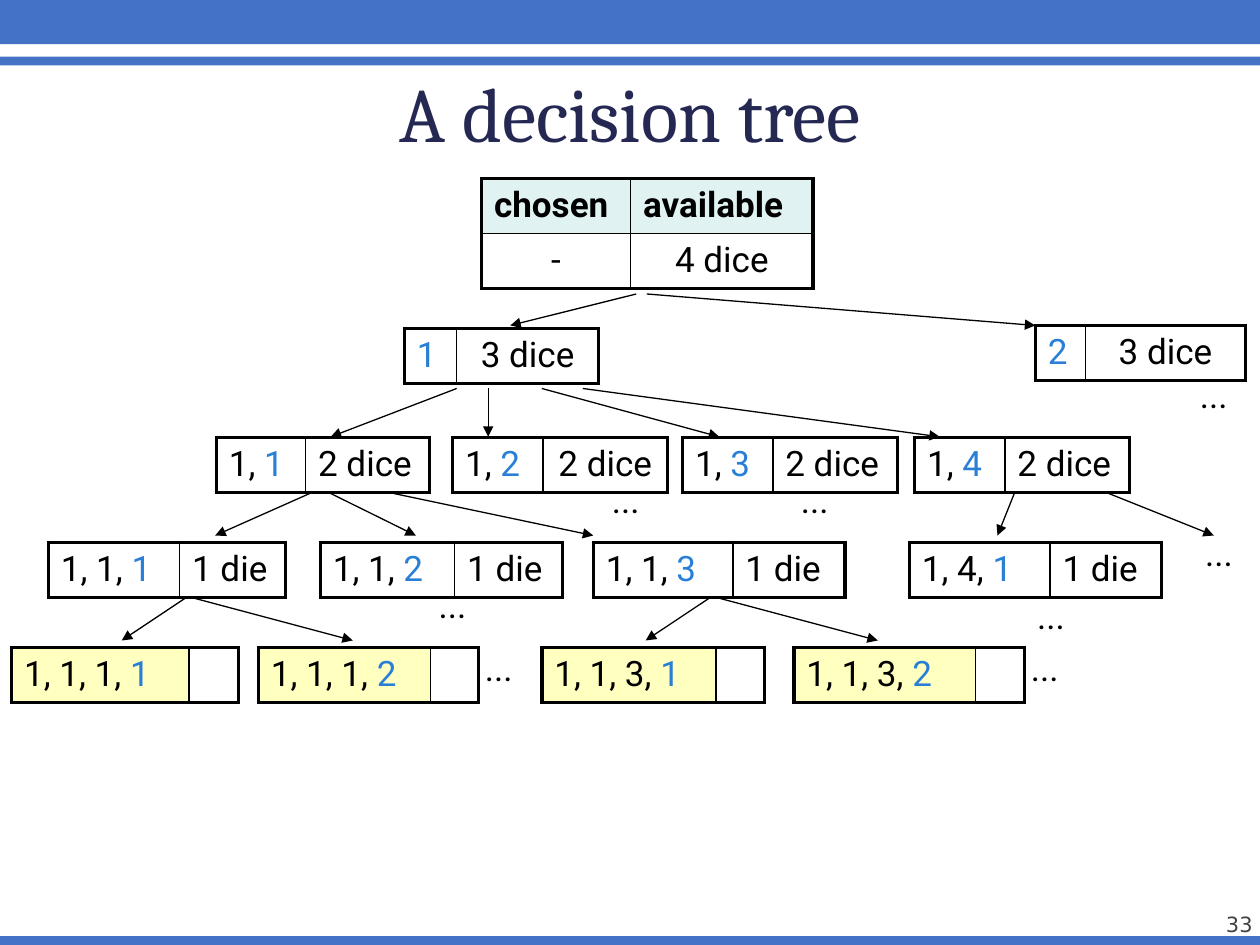
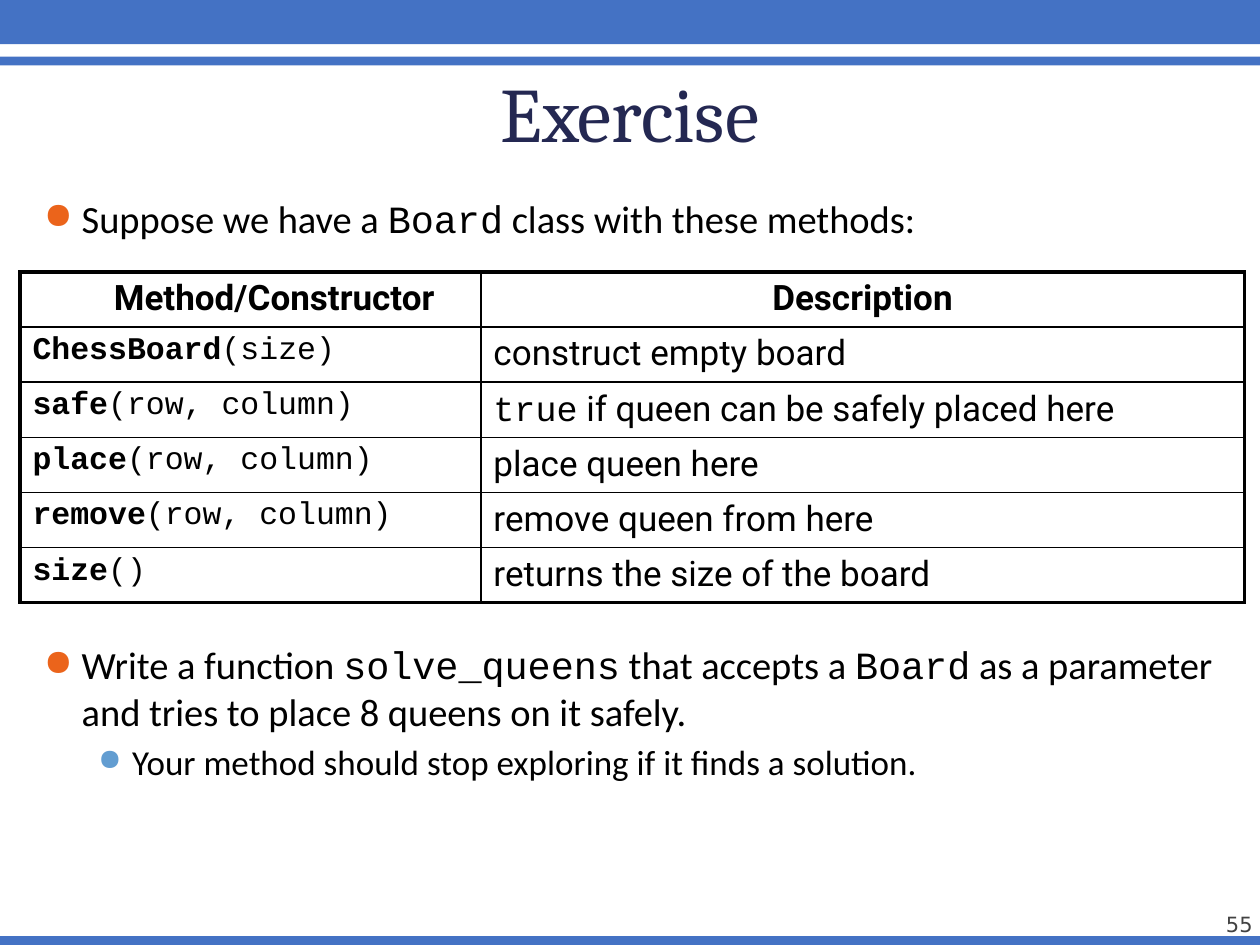
from lxml.etree import SubElement
from pptx import Presentation
from pptx.dml.color import RGBColor
from pptx.enum.shapes import MSO_CONNECTOR as Connector, MSO_SHAPE as Preset
from pptx.enum.text import MSO_ANCHOR as Anchor, MSO_AUTO_SIZE as AutoSize, PP_ALIGN as Align
from pptx.oxml.ns import qn
from pptx.util import Inches, Pt

COLUMNS, ROWS = 120, 90
WIDTH, HEIGHT = Inches(10), Inches(7.5)

BLACK = RGBColor(0x00, 0x00, 0x00)
BAND = RGBColor(0x44, 0x72, 0xC4)
NAVY = RGBColor(0x24, 0x28, 0x52)
GRAY = RGBColor(0x42, 0x42, 0x42)
PICK = RGBColor(0x29, 0x7F, 0xD5)
HEADER = RGBColor(0xE1, 0xF2, 0xF3)
LEAF = RGBColor(0xFF, 0xFF, 0xC0)
ORANGE = RGBColor(0xEB, 0x64, 0x1B)
SKY = RGBColor(0x62, 0x9D, 0xD1)

TITLE_FONT, BODY_FONT, CELL_FONT = "Cambria", "Calibri", "Roboto"
CODE_FONT, NUMBER_FONT = "Courier New", "DejaVu Sans"
OUTER, INNER = Pt(2.25), Pt(1)
ROW = 5.25
BULLETS = [(Inches(0.3), Inches(-0.3), ORANGE, 95, 22), (Inches(0.7), Inches(-0.27), SKY, 85, 20)]


def across(columns):
    return round(WIDTH * columns / COLUMNS)


def down(rows):
    return round(HEIGHT * rows / ROWS)


def set_font(font, name=None, size=None, color=None, bold=None):
    if name:
        font.name = name
    if size:
        font.size = Pt(size)
    if color is not None:
        font.color.rgb = color
    if bold is not None:
        font.bold = bold


def write(paragraph, content, align=Align.LEFT, **style):
    paragraph.alignment = align
    set_font(paragraph.font, **style)
    pieces = [(content, {})] if isinstance(content, str) else content
    for text, changes in pieces:
        run = paragraph.add_run()
        run.text = text
        set_font(run.font, **changes)


def code(text, **changes):
    return text, dict(name=CODE_FONT, **changes)


def plain(text):
    return text, {}


class Deck:
    def __init__(self):
        self.presentation = Presentation()
        self.presentation.slide_width, self.presentation.slide_height = WIDTH, HEIGHT
        self.slide = None

    def new_slide(self, title, number):
        self.slide = self.presentation.slides.add_slide(self.presentation.slide_layouts[5])
        for left, top, height in [(0, -0.35, 4.55), (-0.2, 5.4, 0.84), (-0.2, 89.15, 0.85)]:
            self.band(left, top, height)
        shape = self.slide.shapes.title
        shape.left, shape.top, shape.width, shape.height = across(6), down(5.8), across(108), down(9.2)
        frame = shape.text_frame
        frame.auto_size, frame.vertical_anchor = AutoSize.NONE, Anchor.BOTTOM
        frame.margin_left = frame.margin_right = frame.margin_bottom = 0
        frame.margin_top = Inches(0.05)
        write(frame.paragraphs[0], title, Align.CENTER, name=TITLE_FONT, size=44, color=NAVY)
        frame = self.text_box(109.3, 84.4, 10, 4.8)
        frame.vertical_anchor = Anchor.BOTTOM
        frame.margin_left = frame.margin_right = frame.margin_top = frame.margin_bottom = 0
        write(frame.paragraphs[0], str(number), Align.RIGHT, name=NUMBER_FONT, size=12, color=GRAY)

    def band(self, left, top, height):
        shape = self.slide.shapes.add_shape(
            Preset.RECTANGLE, across(left), down(top), across(COLUMNS + 0.2), down(height))
        shape.shadow.inherit = False
        shape.fill.solid()
        shape.fill.fore_color.rgb = BAND
        shape.line.fill.background()

    def text_box(self, left, top, width, height):
        shape = self.slide.shapes.add_textbox(across(left), down(top), across(width), down(height))
        shape.text_frame.word_wrap = True
        return shape.text_frame

    def bullets(self, top, height, items):
        frame = self.text_box(3, top, 117, height)
        for index, (level, content) in enumerate(items):
            paragraph = frame.add_paragraph() if index else frame.paragraphs[0]
            margin, indent, color, percent, size = BULLETS[level]
            paragraph.level = level
            if index:
                paragraph.space_before = Pt(size * 0.2)
            properties = paragraph._p.get_or_add_pPr()
            properties.set("marL", str(margin))
            properties.set("indent", str(indent))
            SubElement(SubElement(properties, qn("a:buClr")), qn("a:srgbClr"), val=str(color))
            SubElement(properties, qn("a:buSzPct"), val=str(percent * 1000))
            SubElement(properties, qn("a:buChar"), char="●")
            write(paragraph, content, name=BODY_FONT, size=size, color=BLACK)

    def ellipsis(self, left, top):
        frame = self.text_box(left, top, 5.4, 5.2)
        frame.word_wrap = False
        frame.auto_size = AutoSize.SHAPE_TO_FIT_TEXT
        write(frame.paragraphs[0], "...", name=CELL_FONT, size=20, color=BLACK)

    def arrow(self, start, end):
        connector = self.slide.shapes.add_connector(
            Connector.STRAIGHT, across(start[0]), down(start[1]), across(end[0]), down(end[1]))
        connector.line.color.rgb = BLACK
        connector.line.width = Pt(0.75)
        SubElement(connector.line._get_or_add_ln(), qn("a:tailEnd"), type="triangle")
        SubElement(connector._element.spPr, qn("a:effectLst"))

    def table(self, left, top, widths, rows):
        frame = self.slide.shapes.add_table(
            len(rows), len(widths), across(left), down(top), across(sum(widths)), down(ROW * len(rows)))
        table = frame.table
        table.first_row = table.horz_banding = False
        for column, width in zip(table.columns, widths):
            column.width = across(width)
        for row_index, row in enumerate(rows):
            for column_index, (content, options) in enumerate(row):
                cell = table.cell(row_index, column_index)
                self.borders(cell, {
                    "a:lnL": column_index == 0, "a:lnR": column_index == len(widths) - 1,
                    "a:lnT": row_index == 0, "a:lnB": row_index == len(rows) - 1})
                self.fill_cell(cell, content, **options)
        return table

    def borders(self, cell, sides):
        properties = cell._tc.get_or_add_tcPr()
        for side, outer in sides.items():
            line = SubElement(properties, qn(side), w=str(OUTER if outer else INNER))
            SubElement(SubElement(line, qn("a:solidFill")), qn("a:srgbClr"), val=str(BLACK))

    def fill_cell(self, cell, content, fill=None, **style):
        if fill is None:
            cell.fill.background()
        else:
            cell.fill.solid()
            cell.fill.fore_color.rgb = fill
        if content:
            defaults = dict(name=CELL_FONT, size=20, color=BLACK, bold=False)
            write(cell.text_frame.paragraphs[0], content, **{**defaults, **style})

    def node(self, left, top, widths, chosen, available, align=Align.LEFT):
        pieces = [plain(chosen[:-1])] if chosen[:-1] else []
        pieces.append((chosen[-1], dict(color=PICK)))
        fill = None if available else LEAF
        self.table(left, top, widths, [[(pieces, dict(fill=fill)), (available, dict(align=align))]])


def decision_tree(deck):
    deck.new_slide("A decision tree", 33)
    header, centered = dict(fill=HEADER, bold=True), dict(align=Align.CENTER)
    deck.table(45.85, 17, (14.2, 17.4), [
        [("chosen", header), ("available", header)],
        [("-", centered), ("4 dice", centered)]])

    deck.node(38.5, 31.3, (5, 13.5), "1", "3 dice", Align.CENTER)
    deck.node(98.6, 31, (4.8, 15.2), "2", "3 dice", Align.CENTER)
    levels = [
        (41.65, "2 dice", [
            (20.6, 8.5, 11.8, "1, 1"), (43.1, 8.6, 11.9, "1, 2"),
            (65, 8.6, 11.9, "1, 3"), (87.1, 8.6, 11.9, "1, 4")]),
        (51.65, "1 die", [
            (4.6, 12.5, 10.1, "1, 1, 1"), (30.5, 12.8, 10.3, "1, 1, 2"),
            (56.5, 13.3, 10.7, "1, 1, 3"), (86.6, 13.4, 10.6, "1, 4, 1")]),
        (61.65, "", [
            (1.1, 16.9, 4.7, "1, 1, 1, 1"), (24.6, 16.4, 4.6, "1, 1, 1, 2"),
            (51.6, 16.6, 4.6, "1, 1, 3, 1"), (75.6, 17.3, 4.7, "1, 1, 3, 2")])]
    for top, available, nodes in levels:
        for left, chosen_width, available_width, chosen in nodes:
            align = Align.CENTER if chosen == "1, 2" else Align.LEFT
            deck.node(left, top, (chosen_width, available_width), chosen, available, align)

    branches = [
        (28, 31, [(60.6, 48.6), (61.6, 98.6)]),
        (37, 41.6, [(43.5, 31.5), (46.5, 46.5), (51.6, 68.5), (55.5, 89.5)]),
        (47, 51, [(29.5, 20.5), (31.5, 39.6), (37.5, 56.5), (96.6, 95), (105.6, 115.6)]),
        (57, 61, [(17.6, 11.6), (18.6, 33.6), (67.5, 61.5), (68.6, 83.6)])]
    for top, bottom, pairs in branches:
        for start, end in pairs:
            deck.arrow((start, top), (end, bottom))

    for left, top in [(113.6, 50), (75.1, 45), (57.1, 45), (113.1, 35),
                      (40.6, 55), (97.6, 56), (45, 61), (97, 61)]:
        deck.ellipsis(left, top)


def exercise(deck):
    deck.new_slide("Exercise", 55)
    deck.bullets(18, 6, [
        (0, [plain("Suppose we have a "), code("Board"), plain(" class with these methods:")])])
    methods = [
        ("ChessBoard", "(size)", "construct empty board"),
        ("safe", "(row, column)", [code("true"), plain(" if queen can be safely placed here")]),
        ("place", "(row, column)", "place queen here"),
        ("remove", "(row, column)", "remove queen from here"),
        ("size", "()", "returns the size of the board")]
    heading = dict(bold=True, align=Align.CENTER)
    rows = [[("Method/Constructor", heading), ("Description", heading)]]
    for name, parameters, description in methods:
        signature = [(name, dict(bold=True)), plain(parameters)]
        rows.append([(signature, dict(name=CODE_FONT, size=18)), (description, {})])
    table = deck.table(1.9, 25.9, (43.9, 72.7), rows)
    table.cell(0, 0).margin_left = across(5.75)
    deck.bullets(60.5, 20, [
        (0, [plain("Write a function "), code("solve_queens"), plain(" that accepts a "), code("Board"),
             plain(" as a parameter and tries to place 8 queens on it safely.")]),
        (1, "Your method should stop exploring if it finds a solution.")])


def main():
    deck = Deck()
    decision_tree(deck)
    exercise(deck)
    deck.presentation.save("out.pptx")


if __name__ == "__main__":
    main()
